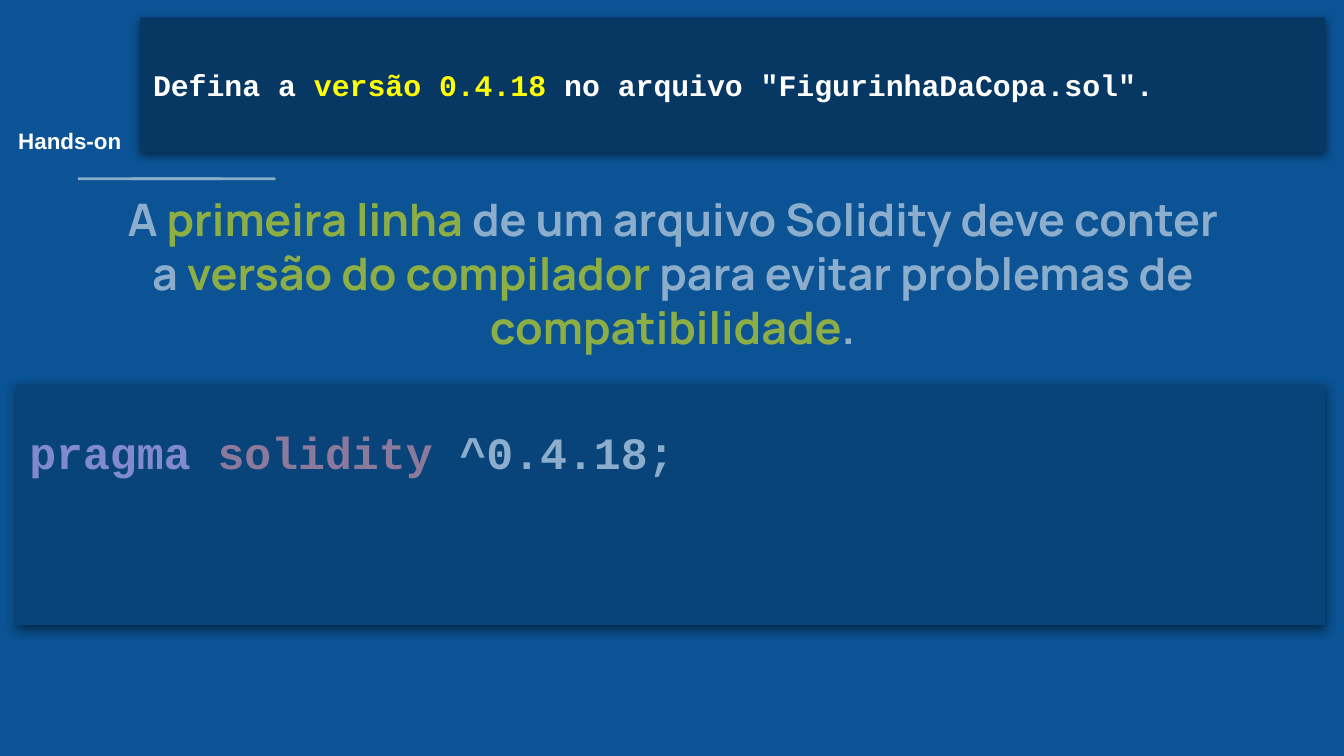
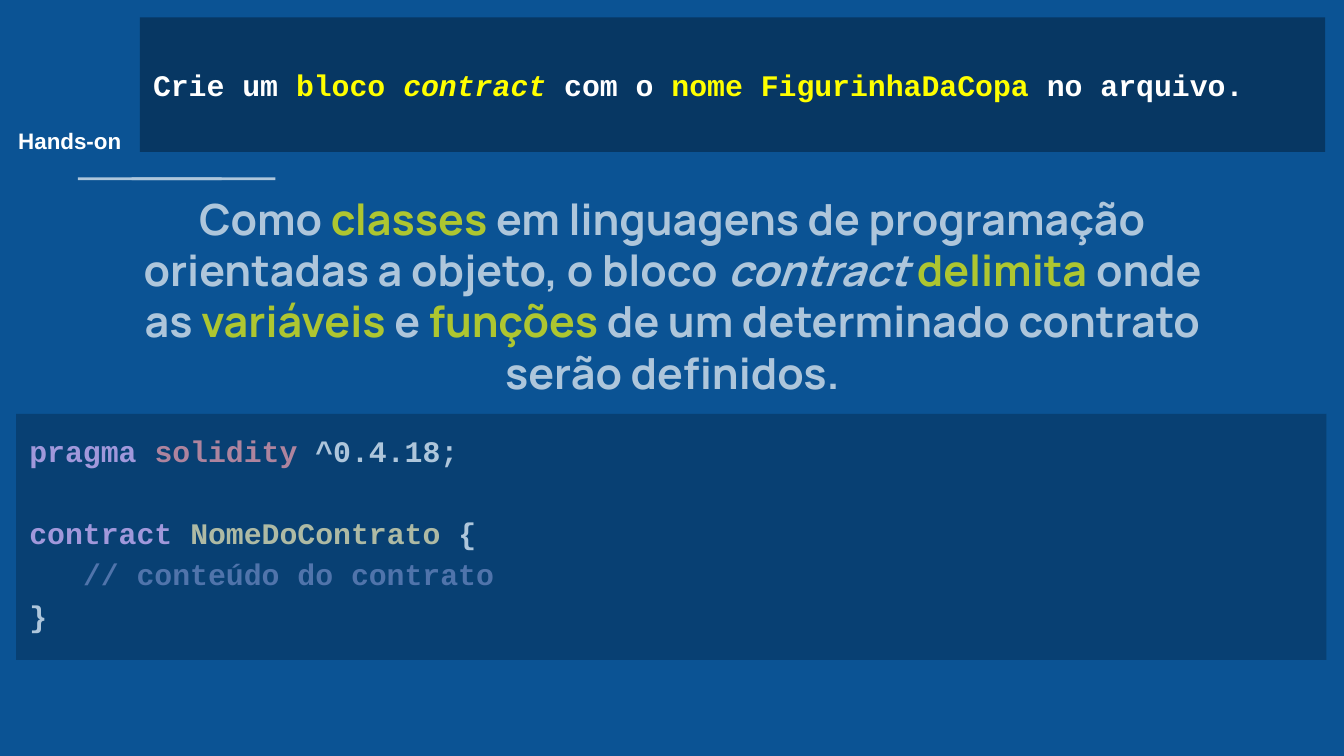
import pptx
import pptx.dml.color
import pptx.enum.shapes
import pptx.enum.text
import pptx.oxml
import pptx.oxml.ns
import pptx.util
from pptx.util import Inches

BLUE, NAVY, WHITE, YELLOW = "0B5394", "073763", "FFFFFF", "FFFF00"
LILAC, ROSE, CREAM, SLATE = "EBBBFF", "FF9DA4", "FFEEAD", "7285B7"
TASK_AREA = (1.04, 0.13, 8.82, 1)
LABEL_AREA = (0, 0.92, 1.04, 0.25)
HEADLINE_AREA = (0.8, 1.33, 8.41, 1)
VEIL_AREA = (0.01, 1.19, 10, 3.76)
RULE_AREAS = [(left, 1.32, 1.07, 0.02) for left in (0.98, 0.58)]

PRAGMA_LINE = [("pragma ", LILAC), ("solidity", ROSE), (" ^0.4.18;", WHITE)]
SLIDES = [
    {
        "task": [("Defina a ", WHITE), ("versão 0.4.18", YELLOW),
                 (' no arquivo "FigurinhaDaCopa.sol".', WHITE)],
        "task_shadow": (50, 4.5, 1.5),
        "headline": [("A ", WHITE), ("primeira linha", YELLOW),
                     (" de um arquivo Solidity deve conter a ", WHITE),
                     ("versão do compilador", YELLOW),
                     (" para evitar problemas de ", WHITE),
                     ("compatibilidade", YELLOW), (".", WHITE)],
        "headline_size": 24,
        "code": [PRAGMA_LINE],
        "code_area": (0.12, 2.86, 9.74, 1.79),
        "code_format": {"size": 24, "line_spacing": 1.5},
        "code_shadow": (95, 5.6, 2.2),
        "veil_opacity": 47,
    },
    {
        "task": [("Crie um ", WHITE), ("bloco ", YELLOW),
                 ("contract", YELLOW, True), (" com o ", WHITE),
                 ("nome FigurinhaDaCopa", YELLOW), (" no arquivo.", WHITE)],
        "task_shadow": None,
        "headline": [("Como ", WHITE), ("classes", YELLOW),
                     (" em linguagens de programação orientadas a objeto, o bloco ", WHITE),
                     ("contract ", WHITE, True), ("delimita", YELLOW),
                     (" onde as ", WHITE), ("variáveis", YELLOW), (" e ", WHITE),
                     ("funções", YELLOW),
                     (" de um determinado contrato serão definidos.", WHITE)],
        "headline_size": 23,
        "code": [PRAGMA_LINE,
                 [("contract ", LILAC), ("NomeDoContrato", CREAM), (" {", WHITE)],
                 [("   ", WHITE), ("// conteúdo do contrato", SLATE)],
                 [("}", WHITE)]],
        "code_area": (0.12, 3.08, 9.75, 1.83),
        "code_format": {"size": 16, "line_spacing": 1.15, "gaps": {1: 22}},
        "code_shadow": None,
        "veil_opacity": 33,
    },
]


def color(value):
    return pptx.dml.color.RGBColor.from_string(value)


def add_block(page, area, fill, opacity=100, shadow=None):
    block = page.shapes.add_shape(pptx.enum.shapes.MSO_SHAPE.RECTANGLE,
                                  *map(Inches, area))
    block.shadow.inherit = False
    block.fill.solid()
    block.fill.fore_color.rgb = color(fill)
    block.line.fill.background()
    properties = block._element.spPr
    if opacity < 100:
        tone = properties.find(".//" + pptx.oxml.ns.qn("a:srgbClr"))
        tone.append(pptx.oxml.parse_xml(
            f'<a:alpha {pptx.oxml.ns.nsdecls("a")} val="{opacity * 1000}"/>'))
    if shadow:
        strength, blur, distance = shadow
        properties.find(pptx.oxml.ns.qn("a:effectLst")).append(pptx.oxml.parse_xml(
            f'<a:outerShdw {pptx.oxml.ns.nsdecls("a")} blurRad="{pptx.util.Pt(blur)}" '
            f'dist="{pptx.util.Pt(distance)}" dir="5400000" algn="bl" rotWithShape="0">'
            f'<a:srgbClr val="000000"><a:alpha val="{strength * 1000}"/></a:srgbClr>'
            '</a:outerShdw>'))
    return block


def add_box(page, area):
    return page.shapes.add_textbox(*map(Inches, area))


def write(box, lines, font, size, align="LEFT", anchor="TOP", line_spacing=None, gaps={}):
    frame = box.text_frame
    frame.word_wrap = True
    frame.vertical_anchor = pptx.enum.text.MSO_ANCHOR[anchor]
    frame.margin_left = frame.margin_right = Inches(0.1)
    frame.margin_top = frame.margin_bottom = Inches(0.1)
    for index, line in enumerate(lines):
        para = frame.add_paragraph() if index else frame.paragraphs[0]
        para.alignment = pptx.enum.text.PP_ALIGN[align]
        if line_spacing:
            para.line_spacing = line_spacing
        if index in gaps:
            para.space_before = pptx.util.Pt(gaps[index])
        for text, tone, *italic in line:
            span = para.add_run()
            span.text = text
            span.font.name = font
            span.font.size = pptx.util.Pt(size)
            span.font.bold = True
            span.font.italic = bool(italic)
            span.font.color.rgb = color(tone)


def build_page(deck, content):
    page = deck.slides.add_slide(deck.slide_layouts[6])
    page.background.fill.solid()
    page.background.fill.fore_color.rgb = color(BLUE)
    for area in RULE_AREAS:
        add_block(page, area, WHITE)
    write(add_box(page, HEADLINE_AREA), [content["headline"]], "Manrope",
          content["headline_size"], align="CENTER")
    code = add_block(page, content["code_area"], NAVY, shadow=content["code_shadow"])
    write(code, content["code"], "Courier New", **content["code_format"])
    task = add_block(page, TASK_AREA, NAVY, shadow=content["task_shadow"])
    write(task, [content["task"]], "Courier New", 16, anchor="MIDDLE")
    write(add_box(page, LABEL_AREA), [[("Hands-on", WHITE)]], "Arial", 12,
          align="CENTER", anchor="MIDDLE")
    add_block(page, VEIL_AREA, BLUE, opacity=content["veil_opacity"])


def main():
    deck = pptx.Presentation()
    deck.slide_width = Inches(10)
    deck.slide_height = deck.slide_width * 9 // 16
    for content in SLIDES:
        build_page(deck, content)
    deck.save("out.pptx")


if __name__ == "__main__":
    main()
